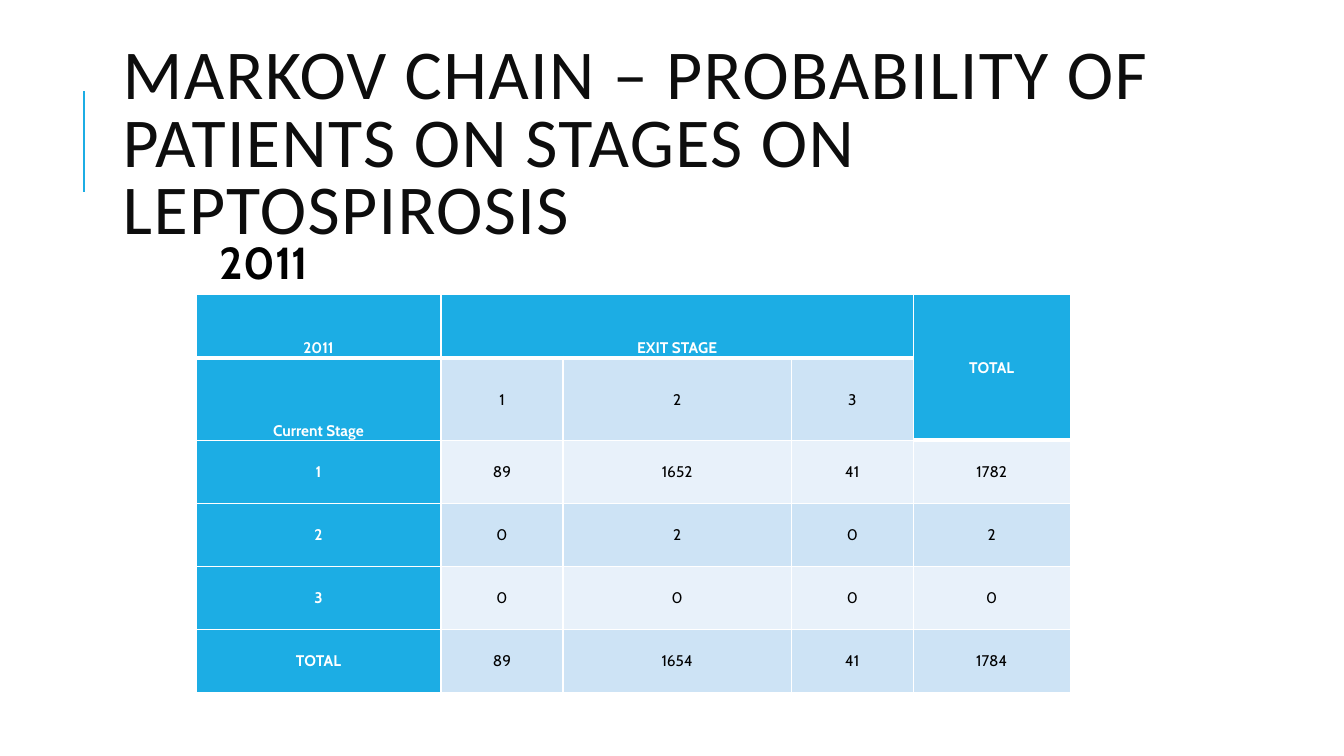
import pptx
import pptx.dml.color
import pptx.enum.shapes
import pptx.enum.text
import pptx.oxml
import pptx.oxml.ns
import pptx.util
import lxml.etree

Pt = pptx.util.Pt
MSO_ANCHOR = pptx.enum.text.MSO_ANCHOR
BLUE, PALE, PALER, WHITE, BLACK = "1CADE4", "CDE3F5", "E8F1FA", "FFFFFF", "000000"


def rgb(color):
    return pptx.dml.color.RGBColor.from_string(color)


def set_font(p, name, size, color, bold):
    p.font.name = name
    p.font.size = Pt(size)
    p.font.color.rgb = rgb(color)
    p.font.bold = bold


prs = pptx.Presentation()
prs.slide_width, prs.slide_height = Pt(960), Pt(540)
s = prs.slides.add_slide(prs.slide_layouts[6])

# Accent line beside the title
line = s.shapes.add_connector(
    pptx.enum.shapes.MSO_CONNECTOR.STRAIGHT, Pt(60), Pt(137), Pt(60), Pt(65))
line.line.color.rgb = rgb(BLUE)
line.line.width = Pt(1.5)
sp_pr = line._element.spPr
lxml.etree.SubElement(sp_pr, pptx.oxml.ns.qn("a:effectLst"))

# Title
title = s.shapes.add_textbox(Pt(80.6), Pt(46), Pt(765.4), Pt(118))
tf = title.text_frame
tf.word_wrap = True
tf.vertical_anchor = MSO_ANCHOR.MIDDLE
p = tf.paragraphs[0]
p.line_spacing = 0.8
r = p.add_run()
r.text = "MARKOV CHAIN – PROBABILITY OF PATIENTS ON STAGES ON LEPTOSPIROSIS"
set_font(p, "Calibri", 50, "0D0D0D", False)
r.font._element.set("spc", "100")

# Transition table
rows = [
    ["2011", "EXIT STAGE", "", "", "TOTAL"],
    ["Current Stage", "1", "2", "3", ""],
    ["1", "89", "1652", "41", "1782"],
    ["2", "0", "2", "0", "2"],
    ["3", "0", "0", "0", "0"],
    ["TOTAL", "89", "1654", "41", "1784"],
]
widths = [175, 87.2, 163, 87.2, 112]
heights = [45, 59, 45, 45, 45, 45]
table = s.shapes.add_table(len(rows), len(widths), Pt(140), Pt(210.5),
                           Pt(sum(widths)), Pt(sum(heights))).table
for column, width in zip(table.columns, widths):
    column.width = Pt(width)
for row, height in zip(table.rows, heights):
    row.height = Pt(height)
table.cell(0, 1).merge(table.cell(0, 3))
table.cell(0, 4).merge(table.cell(1, 4))

for i, row in enumerate(rows):
    for j, text in enumerate(row):
        cell = table.cell(i, j)
        header = i == 0 or j == 0 or (i, j) == (1, 4)
        cell.fill.solid()
        cell.fill.fore_color.rgb = rgb(BLUE if header else PALER if i in (2, 4) else PALE)
        cell.margin_left = cell.margin_right = Pt(5)
        cell.margin_top = cell.margin_bottom = 0
        low = i < 2 and (j == 0 or i == 0 and j < 4)
        cell.vertical_anchor = MSO_ANCHOR.BOTTOM if low else MSO_ANCHOR.MIDDLE
        if not cell.is_spanned:
            p = cell.text_frame.paragraphs[0]
            p.text = text
            p.alignment = pptx.enum.text.PP_ALIGN.CENTER
            p.line_spacing = 1.07
            set_font(p, "Cabin", 11, WHITE if header else BLACK, header)

        # White borders, thick below the header cells
        last_header = 1 if j == 4 else 0
        border_widths = {"L": 1, "R": 1,
                         "T": 3 if i == last_header + 1 else 1,
                         "B": 3 if i == last_header else 1}
        tc_pr = cell._tc.get_or_add_tcPr()
        for n, (side, width) in enumerate(border_widths.items()):
            tc_pr.insert(n, pptx.oxml.parse_xml(
                f'<a:ln{side} {pptx.oxml.ns.nsdecls("a")} w="{Pt(width)}"><a:solidFill>'
                f'<a:srgbClr val="{WHITE}"/></a:solidFill></a:ln{side}>'))

# Year label
year = s.shapes.add_textbox(Pt(150), Pt(164.3), Pt(83.5), Pt(46))
tf = year.text_frame
tf.word_wrap = False
tf.auto_size = pptx.enum.text.MSO_AUTO_SIZE.SHAPE_TO_FIT_TEXT
p = tf.paragraphs[0]
p.text = "2011"
set_font(p, "Cabin", 32, BLACK, True)

prs.save("out.pptx")
